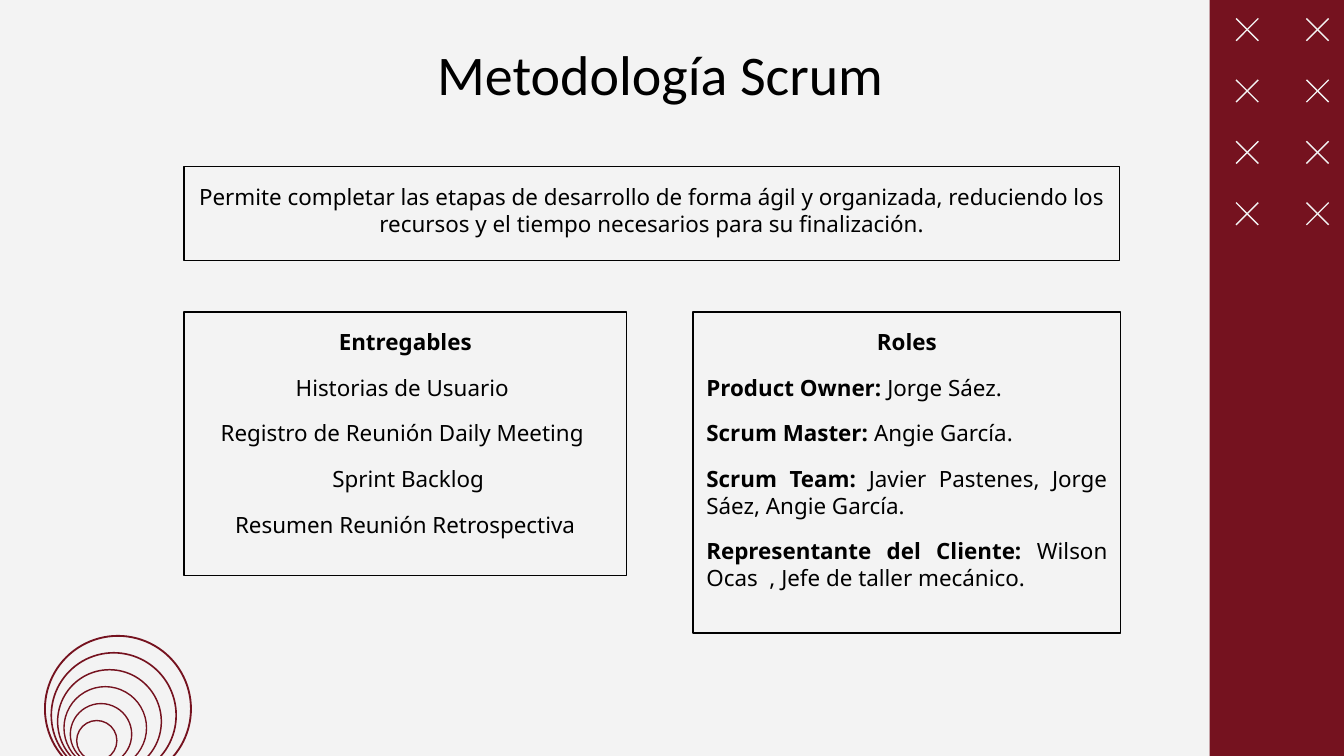
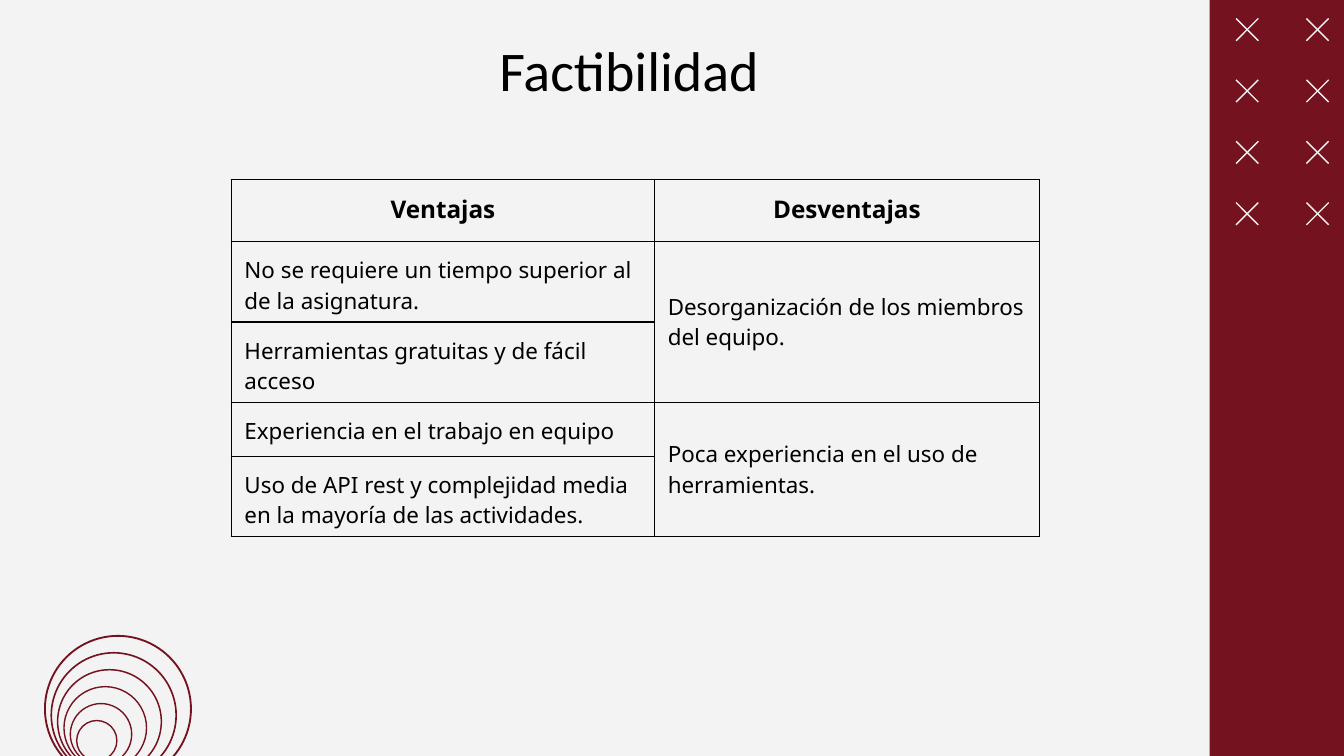
import lxml.etree
import pptx
import pptx.dml.color
import pptx.enum.shapes
import pptx.enum.text
import pptx.oxml.ns
import pptx.util

Cm = pptx.util.Cm
Pt = pptx.util.Pt
ALIGN = pptx.enum.text.PP_ALIGN
ANCHOR = pptx.enum.text.MSO_ANCHOR
SHAPE = pptx.enum.shapes.MSO_SHAPE
qn = pptx.oxml.ns.qn

WIDTH, HEIGHT = 25.4, 14.29
INSET = 0.25


def color(value):
    """Turn a hex string into a colour."""
    return pptx.dml.color.RGBColor.from_string(value)


class Painter:
    """Hold the deck style and draw on the current page."""

    paper, wine, ink = "F3F3F3", "75121F", "000000"
    title_font, body_font = "Calibri", "Noto Sans"

    def __init__(self, deck):
        """Keep the deck and set its size."""
        self.deck = deck
        self.page = None
        deck.slide_width, deck.slide_height = Cm(WIDTH), Cm(HEIGHT)

    def start_page(self):
        """Add a blank page with the shared decoration."""
        self.page = self.deck.slides.add_slide(self.deck.slide_layouts[6])
        self.page.background.fill.solid()
        self.page.background.fill.fore_color.rgb = color(self.paper)
        self.shape(SHAPE.RECTANGLE, 22.86, 0, 2.54, HEIGHT, fill=self.wine)
        for row in range(4):
            for column in range(2):
                self.cross(23.36 + 1.33 * column, 0.35 + 1.16 * row, 0.42)
        for ring in range(6):
            size = 2.76 - 0.4 * ring
            self.shape(SHAPE.OVAL, 0.85 + 0.12 * ring, 12.02 + 0.32 * ring, size, size,
                       line=self.wine, weight=max(0.75, 1 - 0.11 * ring))

    def shape(self, kind, left, top, width, height, fill=None, line=None, weight=0.75):
        """Draw a preset shape with optional fill and outline."""
        shape = self.page.shapes.add_shape(kind, Cm(left), Cm(top), Cm(width), Cm(height))
        shape.shadow.inherit = False
        if fill:
            shape.fill.solid()
            shape.fill.fore_color.rgb = color(fill)
        else:
            shape.fill.background()
        if line:
            shape.line.color.rgb = color(line)
            shape.line.width = Pt(weight)
        else:
            shape.line.fill.background()
        return shape

    def cross(self, left, top, size):
        """Draw two crossing diagonals."""
        for start, end in ((left, left + size), (left + size, left)):
            line = self.page.shapes.add_connector(
                pptx.enum.shapes.MSO_CONNECTOR.STRAIGHT,
                Cm(start), Cm(top), Cm(end), Cm(top + size))
            line.line.color.rgb = color(self.paper)
            line.line.width = Pt(0.75)
            lxml.etree.SubElement(line._element.spPr, qn("a:effectLst"))

    def format_para(self, para, size, align, font=None, bold=False):
        """Set alignment and run style of a paragraph."""
        para.alignment = align
        for span in para.runs:
            span.font.name = font or self.body_font
            span.font.size = Pt(size)
            span.font.bold = bold
            span.font.color.rgb = color(self.ink)

    def set_insets(self, target):
        """Give a frame or cell equal margins."""
        target.margin_left = target.margin_right = Cm(INSET)
        target.margin_top = target.margin_bottom = Cm(INSET)

    def title(self, text, left, top, width):
        """Write the page title."""
        box = self.page.shapes.add_textbox(Cm(left), Cm(top), Cm(width), Cm(1.6))
        frame = box.text_frame
        frame.word_wrap = True
        frame.vertical_anchor = ANCHOR.MIDDLE
        self.set_insets(frame)
        frame.text = text
        self.format_para(frame.paragraphs[0], 30, ALIGN.CENTER, self.title_font)

    def panel(self, left, top, width, height, lines, heading=None):
        """Draw an outlined box; a line given as a pair has a bold label."""
        box = self.shape(SHAPE.RECTANGLE, left, top, width, height, line=self.ink)
        frame = box.text_frame
        frame.word_wrap = True
        frame.vertical_anchor = ANCHOR.TOP
        self.set_insets(frame)
        frame.margin_top = Cm(INSET + 0.06)
        entries = [heading] + lines if heading else lines
        for index, entry in enumerate(entries):
            para = frame.add_paragraph() if index else frame.paragraphs[0]
            if index:
                para.space_before = Pt(10)
            if isinstance(entry, tuple):
                para.text = entry[0]
                para.add_run().text = entry[1]
                self.format_para(para, 12, ALIGN.JUSTIFY)
                para.runs[0].font.bold = True
            else:
                para.text = entry
                self.format_para(para, 12, ALIGN.CENTER, bold=entry == heading)

    def cell_border(self, cell):
        """Outline all four sides of a cell."""
        properties = cell._tc.get_or_add_tcPr()
        for side in ("a:lnL", "a:lnR", "a:lnT", "a:lnB"):
            line = lxml.etree.SubElement(properties, qn(side), w=str(Pt(0.75)))
            fill = lxml.etree.SubElement(line, qn("a:solidFill"))
            lxml.etree.SubElement(fill, qn("a:srgbClr"), val=self.ink)

    def table(self, left, top, widths, heights, rows):
        """Draw a grid; None joins a cell to the one above."""
        frame = self.page.shapes.add_table(
            len(rows), len(widths), Cm(left), Cm(top), Cm(sum(widths)), Cm(sum(heights)))
        table = frame.table
        table.first_row = table.horz_banding = False
        for column, width in zip(table.columns, widths):
            column.width = Cm(width)
        for row, height in zip(table.rows, heights):
            row.height = Cm(height)
        for r, texts in enumerate(rows):
            for c, text in enumerate(texts):
                cell = table.cell(r, c)
                self.cell_border(cell)
                cell.fill.background()
                self.set_insets(cell)
                if text is None:
                    table.cell(r - 1, c).merge(cell)
                    table.cell(r - 1, c).vertical_anchor = ANCHOR.MIDDLE
                    continue
                cell.text_frame.text = text
                self.format_para(cell.text_frame.paragraphs[0], 12 if r else 13,
                                 ALIGN.LEFT if r else ALIGN.CENTER, bold=r == 0)


def scrum_page(painter):
    """Build the Scrum methodology page."""
    painter.start_page()
    painter.title("Metodología Scrum", 2.13, 0.58, 20.7)
    painter.panel(3.48, 3.15, 17.68, 1.78, [
        "Permite completar las etapas de desarrollo de forma ágil y organizada, "
        "reduciendo los recursos y el tiempo necesarios para su finalización."])
    painter.panel(3.48, 5.9, 8.36, 4.98, [
        "Historias de Usuario ",
        "Registro de Reunión Daily Meeting ",
        " Sprint Backlog",
        "Resumen Reunión Retrospectiva",
    ], heading="Entregables")
    painter.panel(13.1, 5.9, 8.08, 6.07, [
        ("Product Owner:", " Jorge Sáez."),
        ("Scrum Master:", " Angie García."),
        ("Scrum Team:", " Javier Pastenes, Jorge Sáez, Angie García."),
        ("Representante del Cliente:", " Wilson Ocas  , Jefe de taller mecánico."),
    ], heading="Roles")


def feasibility_page(painter):
    """Build the feasibility page."""
    painter.start_page()
    painter.title("Factibilidad", 1.35, 0.51, 21.08)
    painter.table(4.37, 3.4, [8, 7.27], [1.17, 1.45, 1.45, 1.02, 1.45], [
        ("Ventajas", "Desventajas"),
        ("No se requiere un tiempo superior al de la asignatura.",
         "Desorganización de los miembros del equipo."),
        ("Herramientas gratuitas y de fácil acceso", None),
        ("Experiencia en el trabajo en equipo",
         "Poca experiencia en el uso de herramientas."),
        ("Uso de API rest y complejidad media en la mayoría de las actividades.", None),
    ])


def main():
    """Build and save the deck."""
    deck = pptx.Presentation()
    painter = Painter(deck)
    scrum_page(painter)
    feasibility_page(painter)
    deck.save("out.pptx")


if __name__ == "__main__":
    main()
